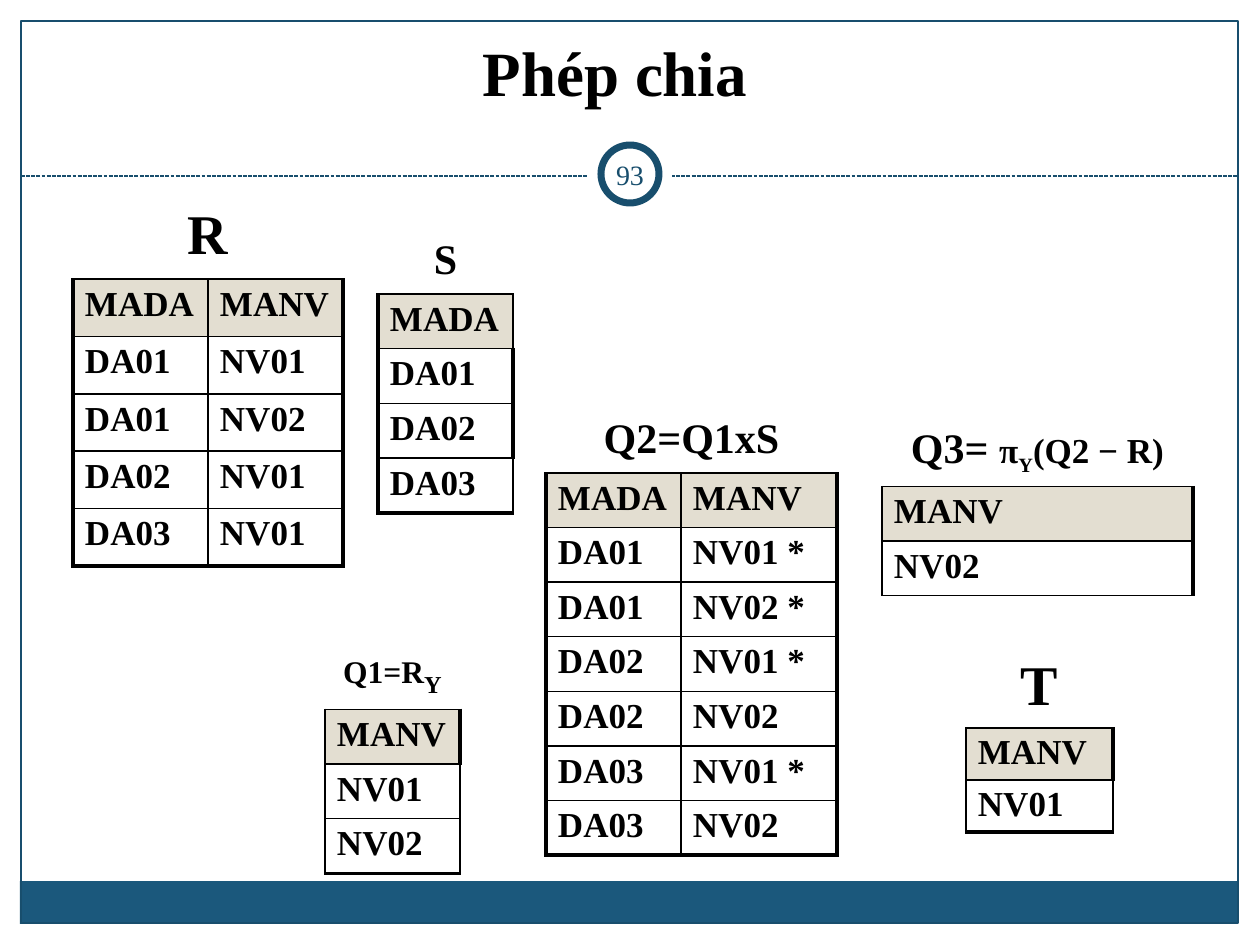
from dataclasses import dataclass

from lxml import etree
from pptx import Presentation
from pptx.dml.color import RGBColor
from pptx.enum.dml import MSO_LINE
from pptx.enum.shapes import MSO_CONNECTOR, MSO_SHAPE
from pptx.enum.text import MSO_ANCHOR, PP_ALIGN
from pptx.oxml.ns import qn
from pptx.util import Emu, Pt

RECTANGLE, OVAL = MSO_SHAPE.RECTANGLE, MSO_SHAPE.OVAL
STRAIGHT = MSO_CONNECTOR.STRAIGHT
DASHED = MSO_LINE.SQUARE_DOT
LEFT, CENTER = PP_ALIGN.LEFT, PP_ALIGN.CENTER
TOP, MIDDLE, BOTTOM = MSO_ANCHOR.TOP, MSO_ANCHOR.MIDDLE, MSO_ANCHOR.BOTTOM

PX_PER_INCH = 126
FONT = "Times New Roman"
BLACK, WHITE, NAVY, BLUE, BEIGE = "000000", "FFFFFF", "184E6D", "1B587C", "E3DED1"
THIN, THICK = 1, 2.25


@dataclass(frozen=True)
class TextRun:
    text: str
    size: int
    subscript: bool = False


@dataclass(frozen=True)
class Relation:
    title: list[TextRun]
    left: int
    top: int
    column_widths: list[int]
    title_height: int
    body_height: int
    rows: list[list[str]]
    left_border: float = THIN
    right_borders: tuple[float, float, float] = (THICK, THICK, THICK)  # header, middle, last
    bottom_border: float = THICK
    vertical_inset: int = 6


RELATIONS = [
    Relation([TextRun("R", 32)], 73, 199, [135, 135], 80, 287,
             [["MADA", "MANV"], ["DA01", "NV01"], ["DA01", "NV02"],
              ["DA02", "NV01"], ["DA03", "NV01"]], left_border=THICK),
    Relation([TextRun("T", 32)], 966, 651, [147], 74, 104,
             [["MANV"], ["NV01"]], right_borders=(THICK, THIN, THIN), vertical_inset=5),
    Relation([TextRun("S", 24)], 378, 231, [135], 63, 219,
             [["MADA"], ["DA01"], ["DA02"], ["DA03"]],
             left_border=THICK, right_borders=(THIN, THICK, THIN)),
    Relation([TextRun("Q2=Q1xS", 24)], 546, 410, [135, 156], 63, 382,
             [["MADA", "MANV"], ["DA01", "NV01 *"], ["DA01", "NV02 *"],
              ["DA02", "NV01 *"], ["DA02", "NV02"], ["DA03", "NV01 *"],
              ["DA03", "NV02"]], left_border=THICK),
    Relation([TextRun("Q1=R", 18), TextRun("Y", 24, True)], 325, 640, [135], 66, 164,
             [["MANV"], ["NV01"], ["NV02"]], right_borders=(THICK, THIN, THIN)),
    Relation([TextRun("Q3= ", 24), TextRun("π", 20), TextRun("Y", 20, True),
              TextRun("(Q2 − R)", 20)], 882, 420, [311], 63, 109,
             [["MANV"], ["NV02"]], bottom_border=THIN),
]


def px(length: float) -> Emu:
    return Emu(round(length * 914400 / PX_PER_INCH))


def color(value: str) -> RGBColor:
    return RGBColor.from_string(value)


def write_text(frame, runs: list[TextRun], *, bold: bool = True, fill: str = BLACK,
               align=LEFT) -> None:
    paragraph = frame.paragraphs[0]
    paragraph.alignment = align
    for item in runs:
        run = paragraph.add_run()
        run.text = item.text
        run.font.name = FONT
        run.font.size = Pt(item.size)
        run.font.bold = bold
        run.font.color.rgb = color(fill)
        if item.subscript:
            run.font._element.set("baseline", "-25000")


def add_text_box(slide, box: tuple[int, int, int, int], text: str, size: int, *,
                 anchor, **text_format) -> None:
    frame = slide.shapes.add_textbox(*map(px, box)).text_frame
    frame.word_wrap = True
    frame.vertical_anchor = anchor
    frame.margin_left = frame.margin_right = px(6)
    write_text(frame, [TextRun(text, size)], align=CENTER, **text_format)


def add_plain_shape(slide, kind, box: tuple[int, int, int, int], *, fill: str | None = None,
                    line: str | None = None, line_width: float = 0.75) -> None:
    shape = slide.shapes.add_shape(kind, *map(px, box))
    shape.shadow.inherit = False
    if fill:
        shape.fill.solid()
        shape.fill.fore_color.rgb = color(fill)
    else:
        shape.fill.background()
    if line:
        shape.line.color.rgb = color(line)
        shape.line.width = Pt(line_width)
    else:
        shape.line.fill.background()


def add_divider(slide, left: int, right: int, top: int) -> None:
    divider = slide.shapes.add_connector(STRAIGHT, px(left), px(top), px(right), px(top))
    divider.line.color.rgb = color(NAVY)
    divider.line.width = Pt(0.75)
    divider.line.dash_style = DASHED
    etree.SubElement(divider._element.spPr, qn("a:effectLst"))


def set_borders(cell, left: float, right: float, top: float, bottom: float) -> None:
    """Set the border widths in points; zero hides a border."""
    properties = cell._tc.get_or_add_tcPr()
    for side, width in zip("LRTB", (left, right, top, bottom)):
        border = etree.SubElement(properties, qn(f"a:ln{side}"), w=str(Pt(width)))
        if width:
            solid = etree.SubElement(border, qn("a:solidFill"))
            etree.SubElement(solid, qn("a:srgbClr"), val=BLACK)
        else:
            etree.SubElement(border, qn("a:noFill"))


def fill_cell(cell, runs: list[TextRun], inset: int, *, fill: str | None = None,
              align=LEFT) -> None:
    if fill:
        cell.fill.solid()
        cell.fill.fore_color.rgb = color(fill)
    else:
        cell.fill.background()
    cell.vertical_anchor = TOP
    cell.margin_left = cell.margin_right = px(12)
    cell.margin_top = cell.margin_bottom = px(inset)
    write_text(cell.text_frame, runs, align=align)


def add_relation(slide, relation: Relation) -> None:
    row_count, column_count = len(relation.rows), len(relation.column_widths)
    table = slide.shapes.add_table(
        row_count + 1, column_count, px(relation.left), px(relation.top),
        px(sum(relation.column_widths)),
        px(relation.title_height + relation.body_height)).table
    table.first_row = table.horz_banding = False
    for column, width in zip(table.columns, relation.column_widths):
        column.width = px(width)

    table.rows[0].height = px(relation.title_height)
    for cell in table.rows[0].cells:
        set_borders(cell, 0, 0, 0, THIN)
    title_cell = table.cell(0, 0)
    if column_count > 1:
        title_cell.merge(table.cell(0, column_count - 1))
    fill_cell(title_cell, relation.title, relation.vertical_inset, align=CENTER)

    header_right, middle_right, last_right = relation.right_borders
    right_borders = [header_right] + [middle_right] * (row_count - 2) + [last_right]
    for row_index, values in enumerate(relation.rows):
        table.rows[row_index + 1].height = px(relation.body_height / row_count)
        is_last_row = row_index == row_count - 1
        for column_index, value in enumerate(values):
            cell = table.cell(row_index + 1, column_index)
            is_last_column = column_index == column_count - 1
            set_borders(cell,
                        left=relation.left_border if column_index == 0 else THIN,
                        right=right_borders[row_index] if is_last_column else THIN,
                        top=THIN,
                        bottom=relation.bottom_border if is_last_row else THIN)
            fill_cell(cell, [TextRun(value, 20)], relation.vertical_inset,
                      fill=BEIGE if row_index == 0 else None)


def main() -> None:
    presentation = Presentation()
    presentation.slide_width, presentation.slide_height = px(1260), px(945)
    slide = presentation.slides.add_slide(presentation.slide_layouts[6])

    add_plain_shape(slide, RECTANGLE, (20, 881, 1218, 43), fill=BLUE)
    add_plain_shape(slide, RECTANGLE, (21, 21, 1217, 902), line=NAVY)
    add_divider(slide, 21, 1238, 176)
    add_plain_shape(slide, OVAL, (588, 132, 84, 84), fill=WHITE)
    add_plain_shape(slide, OVAL, (601, 145, 58, 58), fill=WHITE, line=NAVY, line_width=4)

    add_text_box(slide, (32, 21, 1166, 94), "Phép chia", 36, anchor=BOTTOM)
    for relation in RELATIONS:
        add_relation(slide, relation)
    add_text_box(slide, (599, 144, 62, 60), "93", 16, anchor=MIDDLE, bold=False, fill=NAVY)

    presentation.save("out.pptx")


if __name__ == "__main__":
    main()
